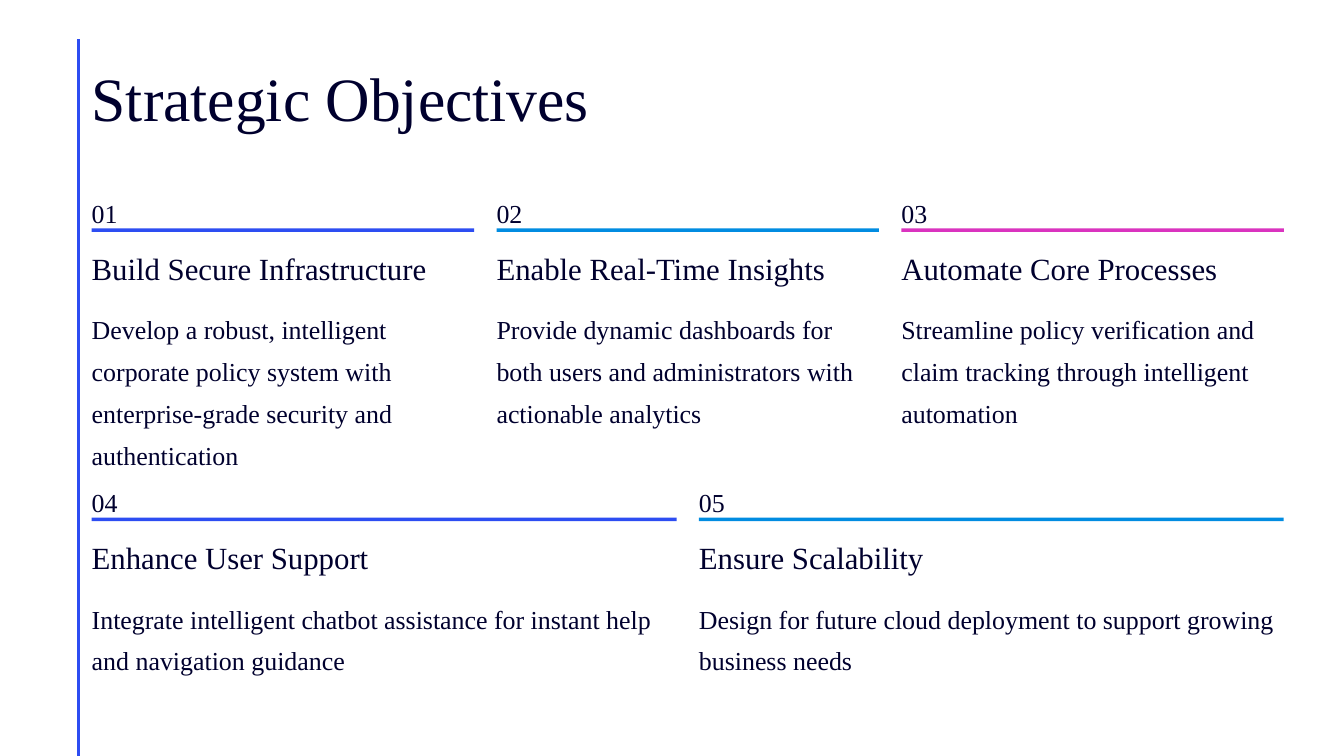
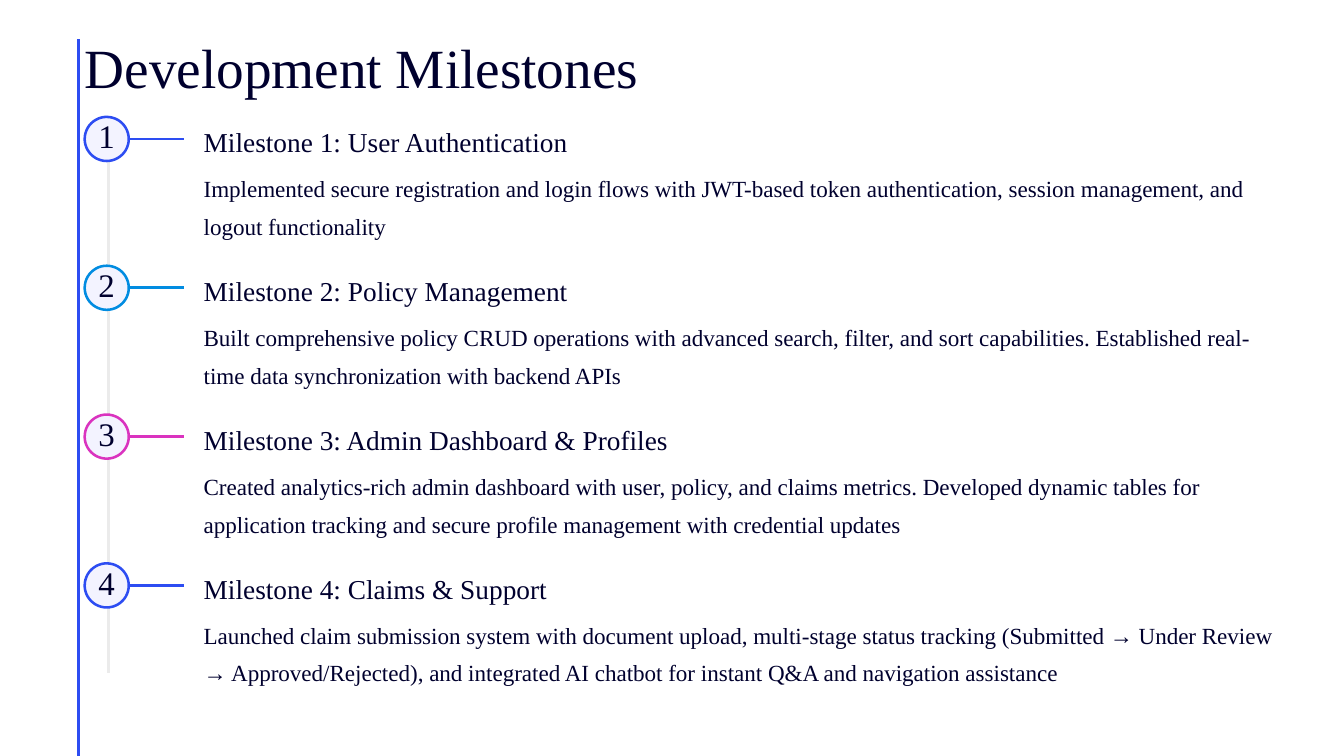
from dataclasses import dataclass
from itertools import cycle

from pptx import Presentation
from pptx.dml.color import RGBColor
from pptx.enum.shapes import MSO_CONNECTOR, MSO_SHAPE
from pptx.enum.text import MSO_ANCHOR, MSO_AUTO_SIZE, PP_ALIGN
from pptx.oxml.ns import qn
from pptx.util import Pt

OBJECTIVES = [
    [
        ("Build Secure Infrastructure",
         "Develop a robust, intelligent corporate policy system with "
         "enterprise-grade security and authentication"),
        ("Enable Real-Time Insights",
         "Provide dynamic dashboards for both users and administrators with "
         "actionable analytics"),
        ("Automate Core Processes",
         "Streamline policy verification and claim tracking through "
         "intelligent automation"),
    ],
    [
        ("Enhance User Support",
         "Integrate intelligent chatbot assistance for instant help and "
         "navigation guidance"),
        ("Ensure Scalability",
         "Design for future cloud deployment to support growing business needs"),
    ],
]
MILESTONES = [
    ("User Authentication",
     "Implemented secure registration and login flows with JWT-based token "
     "authentication, session management, and logout functionality"),
    ("Policy Management",
     "Built comprehensive policy CRUD operations with advanced search, filter, "
     "and sort capabilities. Established real-time data synchronization with "
     "backend APIs"),
    ("Admin Dashboard & Profiles",
     "Created analytics-rich admin dashboard with user, policy, and claims "
     "metrics. Developed dynamic tables for application tracking and secure "
     "profile management with credential updates"),
    ("Claims & Support",
     "Launched claim submission system with document upload, multi-stage status "
     "tracking (Submitted → Under Review → Approved/Rejected), and integrated "
     "AI chatbot for instant Q&A and navigation assistance"),
]


@dataclass(frozen=True)
class Theme:
    """Colours, and type styles as (size, line spacing)."""
    font: str = "Times New Roman"
    ink: str = "00002E"
    badge: str = "F3F3FF"
    spine: str = "EBEBEB"
    accents: tuple = ("2D4DF2", "018CE1", "DA33BF")
    objectives_title: tuple = (44, 55)
    objective_heading: tuple = (22, 27.5)
    objective_body: tuple = (18.5, 30)
    milestones_title: tuple = (39.5, 49.5)
    milestone_number: tuple = (23.5, 23.5)
    milestone_heading: tuple = (19.5, 24.5)
    milestone_body: tuple = (16.5, 27)


THEME = Theme()
SLIDE_WIDTH, SLIDE_HEIGHT = 960, 540
TITLE_ONLY = 5

OBJECTIVES_LEFT, OBJECTIVES_WIDTH, OBJECTIVES_GAP = 65.5, 851.5, 16
OBJECTIVE_ROWS = (133.2, 339.8)
RULE_HEIGHT = 2.5

MILESTONES_TOP, MILESTONES_PITCH = 83.5, 106.3
BADGE_LEFT, BADGE_SIZE = 60.5, 31.5
DASH_END = 131.8
SPINE_X, SPINE_END = 77.3, 481
DETAIL_LEFT, DETAIL_WIDTH = 145.5, 765


def rgb(color):
    return RGBColor.from_string(color)


def write(shape, text, style, anchor=MSO_ANCHOR.TOP, align=PP_ALIGN.LEFT):
    size, spacing = style
    frame = shape.text_frame
    frame.text = text
    frame_format = dict(word_wrap=True, auto_size=MSO_AUTO_SIZE.NONE,
                        vertical_anchor=anchor, margin_left=0, margin_top=0,
                        margin_right=0, margin_bottom=0)
    for name, value in frame_format.items():
        setattr(frame, name, value)
    paragraph = frame.paragraphs[0]
    paragraph.alignment = align
    paragraph.line_spacing = Pt(spacing)
    font = paragraph.runs[0].font
    font.name, font.size = THEME.font, Pt(size)
    font.color.rgb = rgb(THEME.ink)


def add_text(slide, left, top, width, height, text, style):
    box = slide.shapes.add_textbox(Pt(left), Pt(top), Pt(width), Pt(height))
    write(box, text, style)


def add_filled(slide, preset, left, top, width, height, color):
    shape = slide.shapes.add_shape(preset, Pt(left), Pt(top), Pt(width), Pt(height))
    shape.shadow.inherit = False
    shape.fill.solid()
    shape.fill.fore_color.rgb = rgb(color)
    shape.line.fill.background()
    return shape


def add_line(slide, x1, y1, x2, y2, color, weight):
    line = slide.shapes.add_connector(
        MSO_CONNECTOR.STRAIGHT, Pt(x1), Pt(y1), Pt(x2), Pt(y2))
    line.line.color.rgb = rgb(color)
    line.line.width = Pt(weight)
    properties = line.element.spPr
    properties.append(properties.makeelement(qn("a:effectLst"), {}))
    return line


def add_slide(deck, title, left, top, style):
    slide = deck.slides.add_slide(deck.slide_layouts[TITLE_ONLY])
    heading = slide.shapes.title
    position = dict(left=left, top=top, width=OBJECTIVES_WIDTH, height=style[1])
    for name, value in position.items():
        setattr(heading, name, Pt(value))
    write(heading, title, style)
    return slide


def add_layout_edge(slide):
    """Put the vertical edge line on the slide's layout, for every slide."""
    edge = add_line(slide, 56.2, 28, 56.2, SLIDE_HEIGHT, THEME.accents[0], 2)
    slide.slide_layout.shapes.element.append(edge.element)


def add_objective(slide, left, top, width, number, heading, body, accent):
    add_text(slide, left, top, width, 24, f"{number:02}", THEME.objective_body)
    add_filled(slide, MSO_SHAPE.RECTANGLE, left, top + 30, width, RULE_HEIGHT, accent)
    add_text(slide, left, top + 44, width, 27.5, heading, THEME.objective_heading)
    add_text(slide, left, top + 83.2, width, 120, body, THEME.objective_body)


def build_objectives(deck):
    slide = add_slide(deck, "Strategic Objectives", OBJECTIVES_LEFT, 40.3,
                      THEME.objectives_title)
    add_layout_edge(slide)
    number = 0
    for top, row in zip(OBJECTIVE_ROWS, OBJECTIVES):
        width = (OBJECTIVES_WIDTH - OBJECTIVES_GAP * (len(row) - 1)) / len(row)
        for column, (heading, body) in enumerate(row):
            number += 1
            left = OBJECTIVES_LEFT + column * (width + OBJECTIVES_GAP)
            add_objective(slide, left, top, width, number, heading, body,
                          THEME.accents[column])


def add_milestone(slide, top, number, heading, body, accent):
    badge = add_filled(slide, MSO_SHAPE.ROUNDED_RECTANGLE, BADGE_LEFT, top,
                       BADGE_SIZE, BADGE_SIZE, THEME.badge)
    badge.adjustments[0] = 0.5
    badge.line.color.rgb = rgb(accent)
    badge.line.width = Pt(1.8)
    write(badge, str(number), THEME.milestone_number,
          MSO_ANCHOR.MIDDLE, PP_ALIGN.CENTER)
    middle = top + BADGE_SIZE / 2
    dash = add_line(slide, BADGE_LEFT + BADGE_SIZE, middle, DASH_END, middle, accent, 2)
    dash.begin_connect(badge, 3)
    add_text(slide, DETAIL_LEFT, top + 5, DETAIL_WIDTH, 24.5,
             f"Milestone {number}: {heading}", THEME.milestone_heading)
    add_text(slide, DETAIL_LEFT, top + 34, DETAIL_WIDTH, 54, body, THEME.milestone_body)


def build_milestones(deck):
    slide = add_slide(deck, "Development Milestones", BADGE_LEFT, 21.6,
                      THEME.milestones_title)
    add_line(slide, SPINE_X, MILESTONES_TOP, SPINE_X, SPINE_END, THEME.spine, 2)
    for index, ((heading, body), accent) in enumerate(
            zip(MILESTONES, cycle(THEME.accents))):
        top = MILESTONES_TOP + index * MILESTONES_PITCH
        add_milestone(slide, top, index + 1, heading, body, accent)


def main():
    deck = Presentation()
    deck.slide_width, deck.slide_height = Pt(SLIDE_WIDTH), Pt(SLIDE_HEIGHT)
    build_objectives(deck)
    build_milestones(deck)
    deck.save("out.pptx")


if __name__ == "__main__":
    main()
